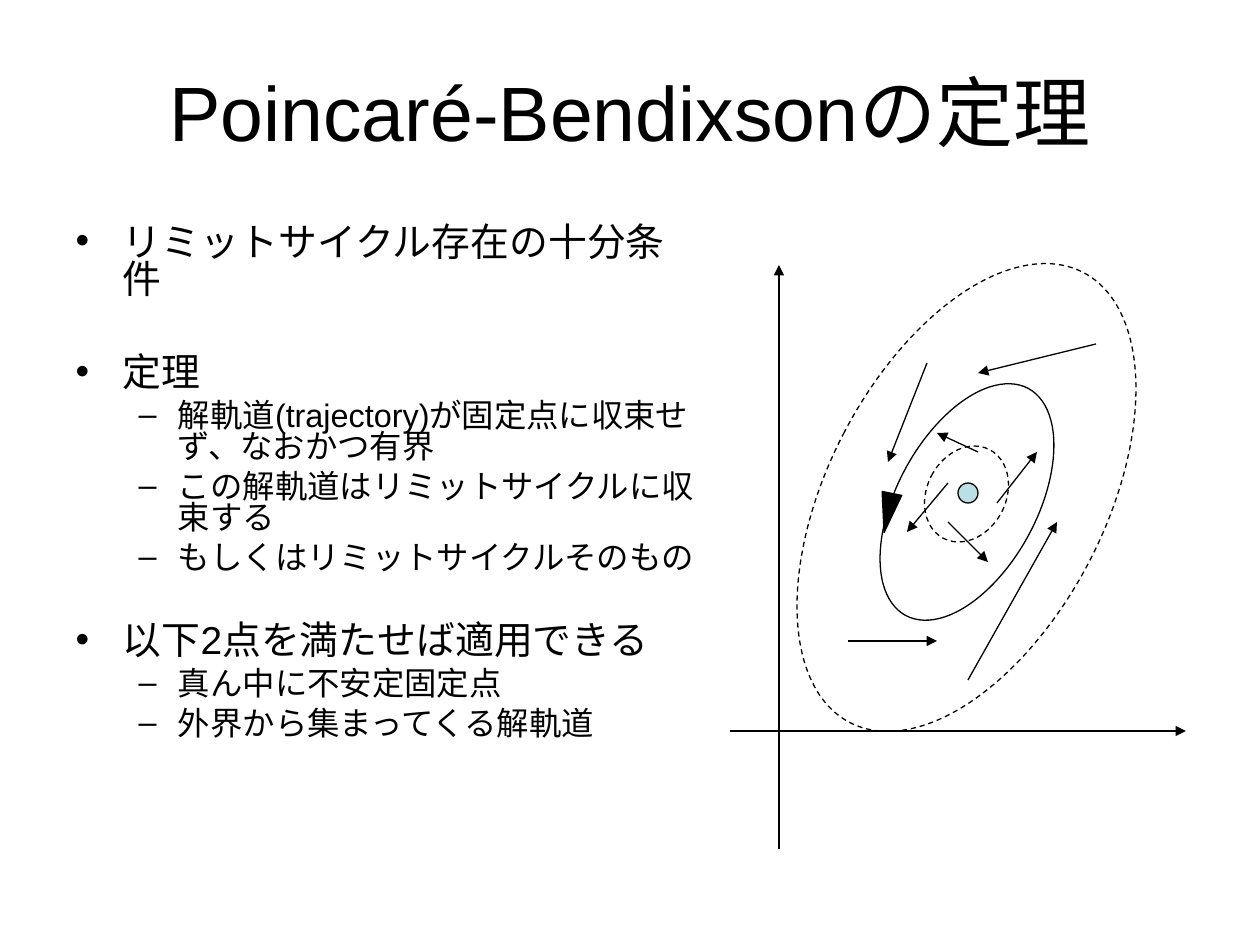
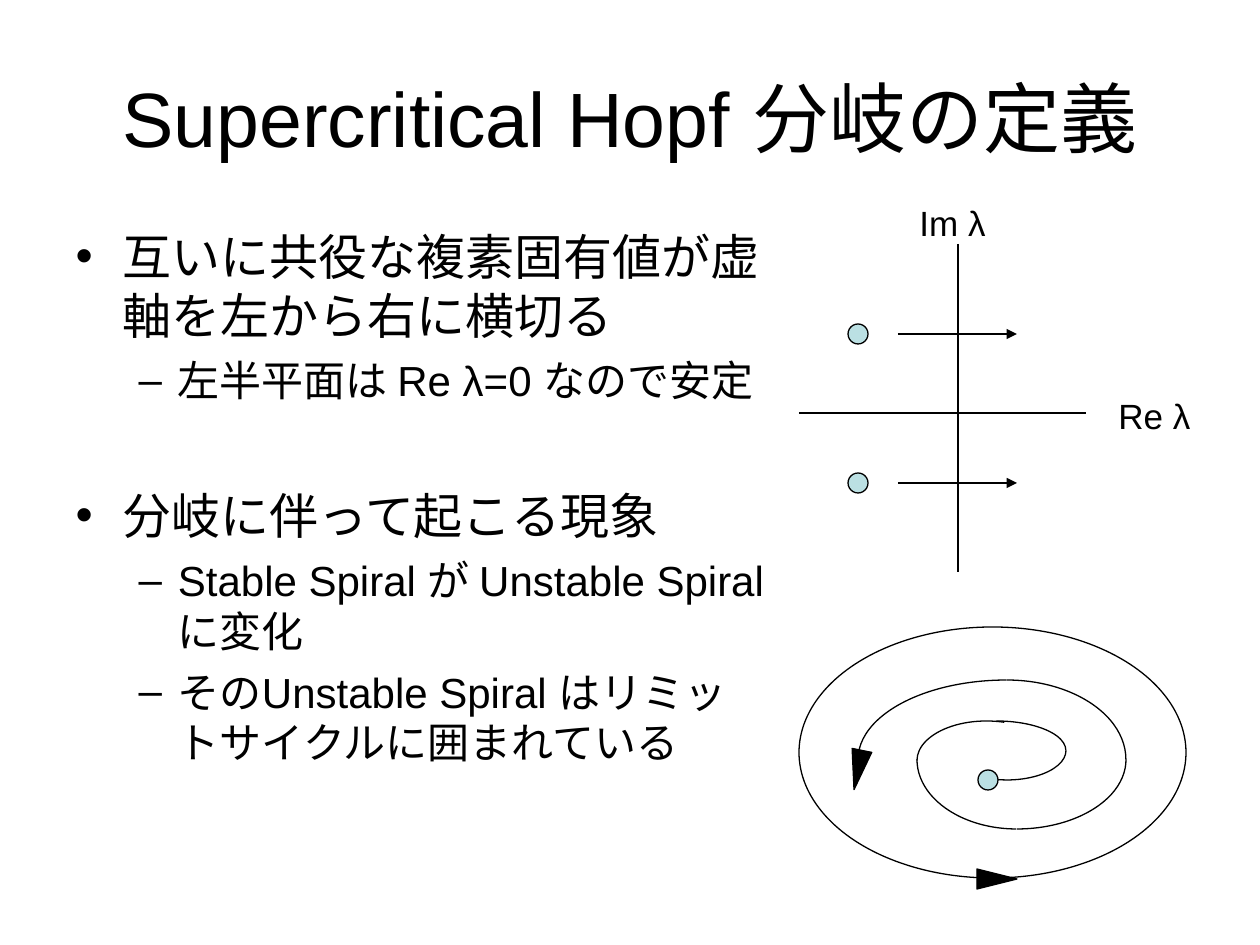
"""Builds two slides on limit cycles: the Poincaré-Bendixson theorem and the supercritical Hopf bifurcation."""
from lxml import etree
from pptx import Presentation
from pptx import util as u
from pptx.dml.color import RGBColor
from pptx.enum import dml, shapes, text
from pptx.oxml import ns

PX = 914400 / 126
COLORS = {"ink": "000000", "point": "BBE0E3"}
FONT = "Arial"
LINE_WIDTH = u.Pt(0.75)
OVAL = shapes.MSO_SHAPE.OVAL
ARROWHEAD = shapes.MSO_SHAPE.ISOSCELES_TRIANGLE


def write(paragraph, content, size, level=0, align=None, before=0, spacing=None):
    paragraph.level = level
    paragraph.alignment = align
    paragraph.space_before = u.Pt(before)
    paragraph.line_spacing = spacing
    run = paragraph.add_run()
    run.text = content
    run.font.name = FONT
    run.font.size = u.Pt(size)
    run.font.color.rgb = RGBColor.from_string(COLORS["ink"])


def draw(slide, kind, box, fill=None, rotation=0, dashed=False):
    shape = slide.shapes.add_shape(kind, *[round(length * PX) for length in box])
    shape.shadow.inherit = False
    shape.rotation = rotation
    shape.line.width = LINE_WIDTH
    shape.line.color.rgb = RGBColor.from_string(COLORS["ink"])
    if dashed:
        shape.line.dash_style = dml.MSO_LINE.DASH
    if fill:
        shape.fill.solid()
        shape.fill.fore_color.rgb = RGBColor.from_string(COLORS[fill])
    else:
        shape.fill.background()
    return shape


pages = [
    {
        "title": "Poincaré-Bendixsonの定理",
        "title_spacing": 0.9,
        "body_width": 646,
        "body_spacing": 0.8,
        "sizes": (22.2, 18.5),
        "before": (6, 5),
        "items": [
            (0, "リミットサイクル存在の十分条件", 0),
            (0, "定理", 26),
            (1, "解軌道(trajectory)が固定点に収束せず、なおかつ有界", 0),
            (1, "この解軌道はリミットサイクルに収束する", 0),
            (1, "もしくはリミットサイクルそのもの", 0),
            (0, "以下2点を満たせば適用できる", 22),
            (1, "真ん中に不安定固定点", 0),
            (1, "外界から集まってくる解軌道", 0),
        ],
        "lines": [],
        "arrows": [
            (779, 849, 779, 265), (730, 731, 1186, 731),
            (927, 363, 888, 462), (968, 680, 1057, 522),
            (1096, 344, 978, 373), (848, 641, 937, 641),
            (948, 483, 907, 532), (978, 452, 937, 433),
            (948, 522, 988, 562), (997, 503, 1037, 452),
        ],
    },
    {
        "title": "Supercritical Hopf 分岐の定義",
        "title_spacing": 1.0,
        "body_width": 716,
        "body_spacing": 1.0,
        "sizes": (28, 24),
        "before": (7, 6),
        "items": [
            (0, "互いに共役な複素固有値が虚軸を左から右に横切る", 0),
            (1, "左半平面は Re λ=0 なので安定", 0),
            (0, "分岐に伴って起こる現象", 39),
            (1, "Stable Spiral が Unstable Spiral に変化", 0),
            (1, "そのUnstable Spiral はリミットサイクルに囲まれている", 0),
        ],
        "lines": [(799, 413, 1086, 413), (958, 244, 958, 572)],
        "arrows": [(898, 334, 1017, 334), (898, 483, 1017, 483)],
    },
]

presentation = Presentation()
presentation.slide_width = u.Inches(10)
presentation.slide_height = u.Inches(7.5)

for page in pages:
    slide = presentation.slides.add_slide(presentation.slide_layouts[1])
    title, body = slide.placeholders
    for placeholder, box in ((title, (63, 38, 1134, 158)),
                             (body, (63, 220, page["body_width"], 624))):
        placeholder.left, placeholder.top, placeholder.width, placeholder.height = [
            round(length * PX) for length in box]
        placeholder.text_frame.auto_size = text.MSO_AUTO_SIZE.NONE
    write(title.text_frame.paragraphs[0], page["title"], 44,
          align=text.PP_ALIGN.CENTER, spacing=page["title_spacing"])

    for index, (level, content, gap) in enumerate(page["items"]):
        frame = body.text_frame
        paragraph = frame.add_paragraph() if index else frame.paragraphs[0]
        write(paragraph, content, page["sizes"][level], level=level,
              before=page["before"][level] + gap, spacing=page["body_spacing"])

    for ends in page["lines"] + page["arrows"]:
        connector = slide.shapes.add_connector(
            shapes.MSO_CONNECTOR.STRAIGHT, *[round(length * PX) for length in ends])
        connector.line.width = LINE_WIDTH
        connector.line.color.rgb = RGBColor.from_string(COLORS["ink"])
        if ends in page["arrows"]:
            etree.SubElement(connector.line._get_or_add_ln(), ns.qn("a:tailEnd"), type="triangle")
        etree.SubElement(connector._element.spPr, ns.qn("a:effectLst"))

theorem, bifurcation = presentation.slides

for box in ((927, 444, 79, 100), (828, 244, 277, 507)):
    draw(theorem, OVAL, box, rotation=27.4, dashed=True)
draw(theorem, OVAL, (958, 483, 20, 20), fill="point")
draw(theorem, OVAL, (897, 373, 140, 258), rotation=28.4)
draw(theorem, ARROWHEAD, (878, 493, 20, 40), fill="ink", rotation=191.5)

for label, left, top in (("Re λ", 1106, 388), ("Im λ", 907, 195)):
    text_box = bifurcation.shapes.add_textbox(
        *[round(length * PX) for length in (left, top, 118, 55)])
    text_box.text_frame.word_wrap = True
    write(text_box.text_frame.paragraphs[0], label, 20)

spiral_arcs = [
    ((858, 680, 297, 159), 180, 270),
    ((888, 680, 238, 159), 270, 0),
    ((908, 690, 218, 139), 0, 90),
    ((917, 690, 199, 139), 90, 180),
    ((917, 721, 139, 79), 180, 295),
    ((927, 721, 139, 59), 270, 0),
    ((948, 721, 118, 59), 0, 111),
]
for box, start, end in spiral_arcs:
    arc = draw(bifurcation, shapes.MSO_SHAPE.ARC, box)
    for index, degrees in enumerate((start, end)):
        arc.adjustments[index] = degrees * 0.6

for left, top in ((848, 473), (848, 324), (978, 770)):
    draw(bifurcation, OVAL, (left, top, 20, 20), fill="point")
draw(bifurcation, OVAL, (799, 627, 387, 251))
for left, top, rotation in ((848, 750, 191.5), (987, 859, 90)):
    draw(bifurcation, ARROWHEAD, (left, top, 20, 40), fill="ink", rotation=rotation)

presentation.save("out.pptx")
